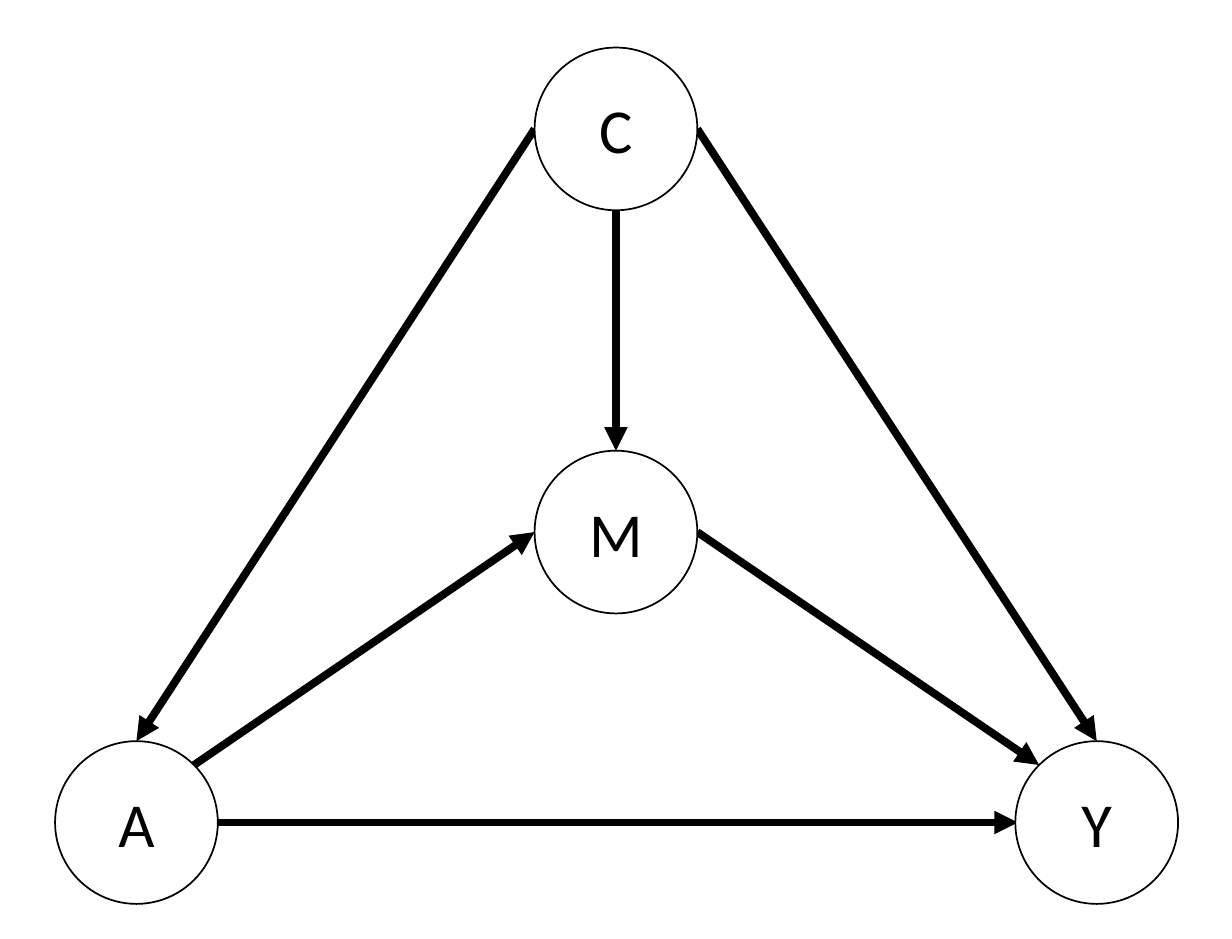
from math import cos, radians, sin

from lxml.etree import SubElement
from pptx import Presentation
from pptx.dml.color import RGBColor
from pptx.enum.shapes import MSO_CONNECTOR as CONNECTOR, MSO_SHAPE as SHAPE
from pptx.enum.text import MSO_ANCHOR as ANCHOR, PP_ALIGN as ALIGN
from pptx.oxml.ns import qn
from pptx.util import Emu, Pt

BLACK = RGBColor(0, 0, 0)
WHITE = RGBColor(255, 255, 255)
FONT = "Calibri"

SLIDE_WIDTH, SLIDE_HEIGHT = 984, 750
DIAMETER = 130
NODES = {"M": (427, 360), "C": (427, 38), "A": (44, 592), "Y": (811, 592)}
RIGHT, UPPER_RIGHT, TOP, UPPER_LEFT, LEFT, BOTTOM = 0, 45, 90, 135, 180, 270
ARROWS = [
    ("A", RIGHT, "Y", LEFT, 2),
    ("A", UPPER_RIGHT, "M", LEFT, 0),
    ("M", RIGHT, "Y", UPPER_LEFT, 0),
    ("C", LEFT, "A", TOP, 0),
    ("C", BOTTOM, "M", TOP, 0),
    ("C", RIGHT, "Y", TOP, 0),
]


def px(length):
    """Turn a length in px into EMU, at 100 px to the inch."""
    return Emu(round(length * 9144))


def add_text(shape, text, size=36, color=BLACK, align=ALIGN.CENTER, anchor=ANCHOR.MIDDLE):
    """Write one formatted paragraph into a shape."""
    frame = shape.text_frame
    frame.word_wrap = True
    frame.vertical_anchor = anchor
    paragraph = frame.paragraphs[0]
    paragraph.alignment = align
    run = paragraph.add_run()
    run.text = text
    run.font.name = FONT
    run.font.size = Pt(size)
    run.font.color.rgb = color


def add_node(slide, label, left, top, diameter):
    """Draw one labelled circle of the graph."""
    circle = slide.shapes.add_shape(SHAPE.OVAL, px(left), px(top), px(diameter), px(diameter))
    circle.shadow.inherit = False
    circle.fill.solid()
    circle.fill.fore_color.rgb = WHITE
    circle.line.color.rgb = BLACK
    circle.line.width = Pt(1)
    add_text(circle, label)


def rim_point(left, top, diameter, angle, overlap):
    """Find the point at an angle on a circle, moved inwards by the overlap."""
    radius = diameter / 2
    reach = radius - overlap
    return (
        px(left + radius + reach * cos(radians(angle))),
        px(top + radius - reach * sin(radians(angle))),
    )


def add_arrow(slide, start, end):
    """Draw a thick straight arrow between two points."""
    arrow = slide.shapes.add_connector(CONNECTOR.STRAIGHT, *start, *end)
    arrow.line.color.rgb = BLACK
    arrow.line.width = Pt(4.5)
    SubElement(arrow.line._get_or_add_ln(), qn("a:tailEnd"), type="triangle")
    SubElement(arrow._element.spPr, qn("a:effectLst"))


def add_causal_graph(slide, left, top):
    """Draw the arrows and, over them, the nodes, from the given corner."""
    places = {label: (left + x, top + y, DIAMETER) for label, (x, y) in NODES.items()}
    for source, source_angle, target, target_angle, overlap in ARROWS:
        start = rim_point(*places[source], source_angle, overlap)
        end = rim_point(*places[target], target_angle, overlap)
        add_arrow(slide, start, end)
    for label, place in places.items():
        add_node(slide, label, *place)


def main():
    """Build and save the slide."""
    presentation = Presentation()
    presentation.slide_width = px(SLIDE_WIDTH)
    presentation.slide_height = px(SLIDE_HEIGHT)
    slide = presentation.slides.add_slide(presentation.slide_layouts[6])
    add_causal_graph(slide, 0, 0)
    presentation.save("out.pptx")


if __name__ == "__main__":
    main()
